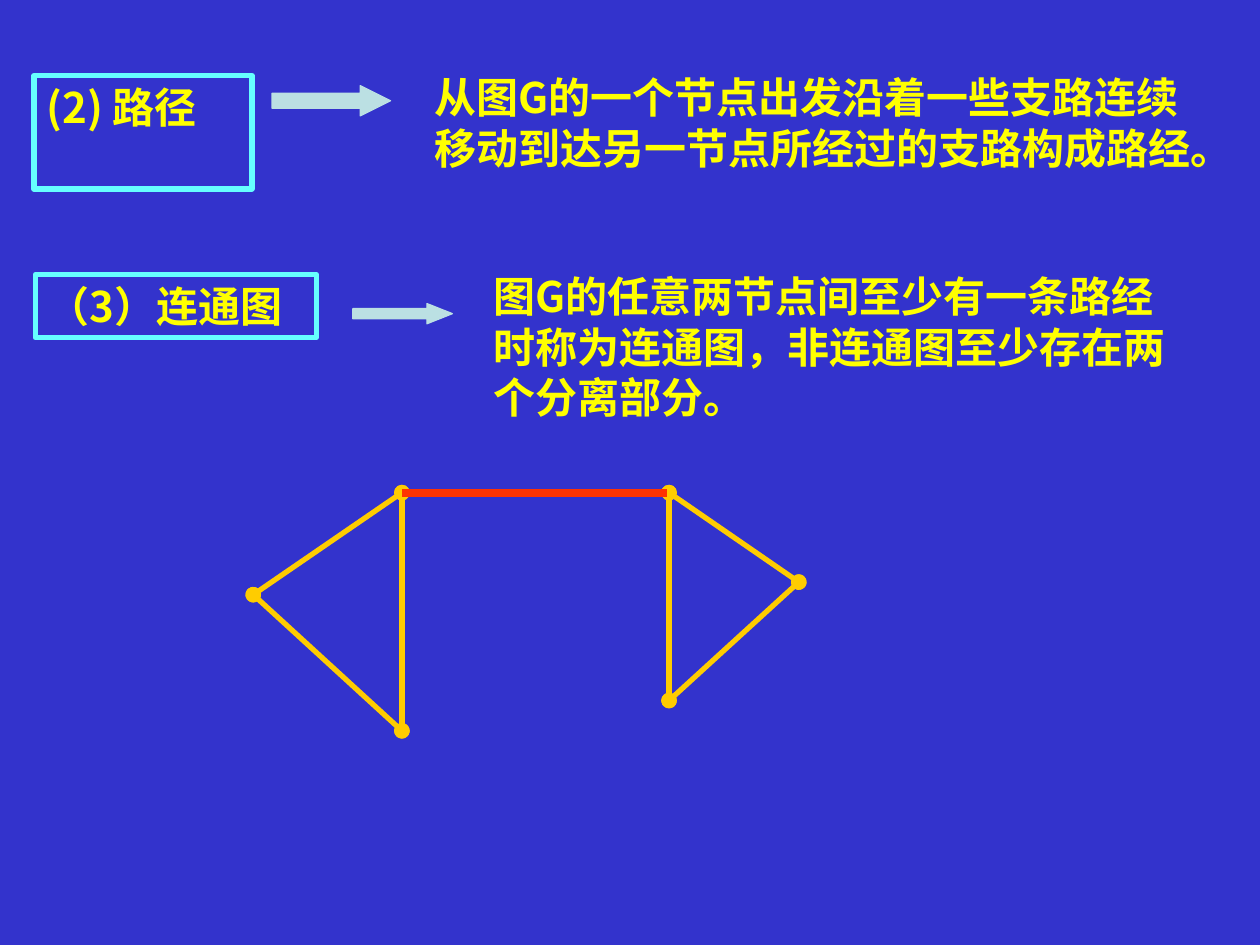
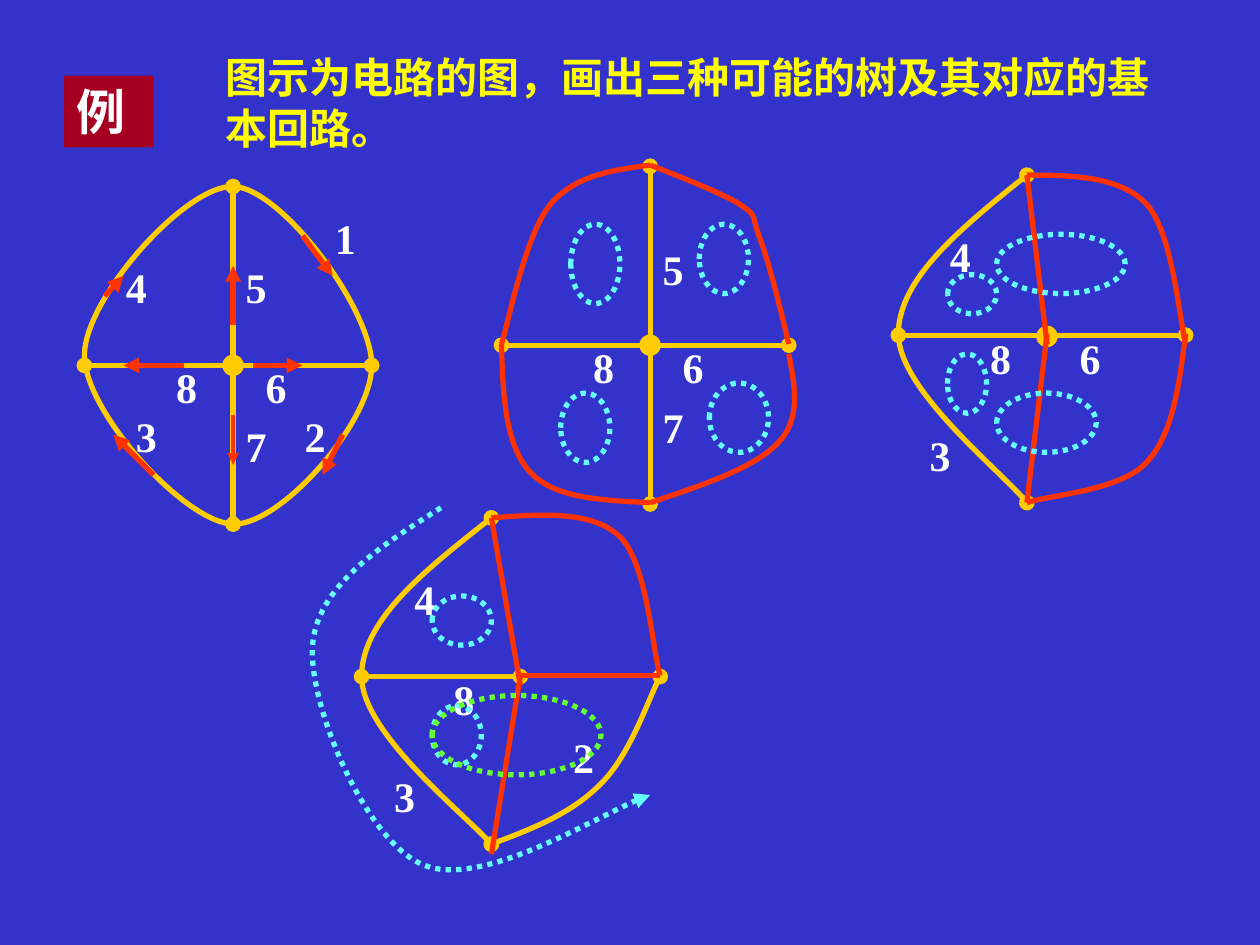
from lxml import etree
from pptx import Presentation
from pptx.dml.color import RGBColor
from pptx.enum.dml import MSO_LINE
from pptx.enum.shapes import MSO_CONNECTOR, MSO_SHAPE
from pptx.enum.text import MSO_ANCHOR, MSO_AUTO_SIZE, PP_ALIGN
from pptx.oxml.ns import qn
from pptx.util import Inches, Pt

BLUE = RGBColor(0x33, 0x33, 0xCC)
YELLOW = RGBColor(0xFF, 0xFF, 0x00)
WHITE = RGBColor(0xFF, 0xFF, 0xFF)
GOLD = RGBColor(0xFF, 0xCC, 0x00)
RED = RGBColor(0xFF, 0x33, 0x00)
CYAN = RGBColor(0x66, 0xFF, 0xFF)
GREEN = RGBColor(0x66, 0xFF, 0x33)
PALE = RGBColor(0xBB, 0xE0, 0xE3)
CRIMSON = RGBColor(0xA5, 0x00, 0x21)

CJK = "Noto Sans CJK SC"
LATIN = "Arial"
DIGITS = "Times New Roman"
TITLE_ONLY, BLANK = 5, 6
RECTANGLE, OVAL, RIGHT_ARROW = MSO_SHAPE.RECTANGLE, MSO_SHAPE.OVAL, MSO_SHAPE.RIGHT_ARROW
STRAIGHT = MSO_CONNECTOR.STRAIGHT
DOTTED = MSO_LINE.ROUND_DOT
LEFT, TOP, NO_FIT = PP_ALIGN.LEFT, MSO_ANCHOR.TOP, MSO_AUTO_SIZE.NONE
NODES = ("oval", "oval")
ARROW = (None, "triangle")


def inches(values):
    return [Inches(value) for value in values]


def write(box, text, font=CJK, size=24, color=YELLOW, wrap=True):
    frame = box.text_frame
    frame.word_wrap = wrap
    frame.auto_size = NO_FIT
    frame.vertical_anchor = TOP
    frame.margin_left = frame.margin_right = Inches(0.1)
    frame.margin_top = frame.margin_bottom = Inches(0.05)
    para = frame.paragraphs[0]
    para.alignment = LEFT
    span = para.add_run()
    span.text = text
    span.font.name, span.font.size, span.font.bold = font, Pt(size), True
    span.font.color.rgb = color
    east_asian = etree.SubElement(span.font._element, qn("a:ea"))
    east_asian.set("typeface", CJK)


class Page:
    def __init__(self, deck, layout):
        self.slide = deck.slides.add_slide(deck.slide_layouts[layout])
        self.shapes = self.slide.shapes
        fill = self.slide.background.fill
        fill.solid()
        fill.fore_color.rgb = BLUE

    def outline(self, item, color, width, dash=None, ends=(None, None)):
        item.line.color.rgb = color
        item.line.width = Pt(width)
        if dash:
            item.line.dash_style = dash
        properties = item.element.spPr
        for tag, end in zip(("a:headEnd", "a:tailEnd"), ends):
            if end:
                etree.SubElement(properties.find(qn("a:ln")), qn(tag)).set("type", end)
        etree.SubElement(properties, qn("a:effectLst"))

    def title(self, text, place, **style):
        box = self.shapes.title
        box.left, box.top, box.width, box.height = inches(place)
        write(box, text, **style)

    def text(self, text, place, **style):
        write(self.shapes.add_textbox(*inches(place)), text, **style)

    def numbers(self, places):
        for number, (left, top) in places.items():
            self.text(str(number), (left, top, 0.39, 0.5), font=DIGITS, color=WHITE)

    def shape(self, kind, place, fill=None, line=None, width=3, dash=None):
        shape = self.shapes.add_shape(kind, *inches(place))
        if fill:
            shape.fill.solid()
            shape.fill.fore_color.rgb = fill
        else:
            shape.fill.background()
        if line:
            self.outline(shape, line, width, dash)
        else:
            shape.line.fill.background()
            shape.shadow.inherit = False
        return shape

    def block_arrow(self, place, head):
        arrow = self.shape(RIGHT_ARROW, place, PALE, PALE, 0.75)
        arrow.adjustments[1] = head

    def hub(self, left, top):
        self.shape(OVAL, (left, top, 0.16, 0.16), GOLD, GOLD, 0.75)

    def loops(self, places, color=CYAN):
        for place in places:
            self.shape(OVAL, place, line=color, dash=DOTTED)

    def line(self, start, end, color=GOLD, width=3, ends=(None, None)):
        connector = self.shapes.add_connector(STRAIGHT, *inches(start + end))
        self.outline(connector, color, width, ends=ends)

    def curve(self, points, color=GOLD, dash=None, ends=(None, None), close=False):
        """Draw cubic curves: a start point, then two controls and an end for each."""
        corners = [inches(point) for point in points]
        builder = self.shapes.build_freeform(*corners[0])
        builder.add_line_segments(corners[1:], close=close)
        shape = builder.convert_to_shape()
        steps = list(shape.element.iter(qn("a:lnTo")))
        for first, second, third in zip(steps[::3], steps[1::3], steps[2::3]):
            first.tag = qn("a:cubicBezTo")
            for step in (second, third):
                first.append(step[0])
                step.getparent().remove(step)
        shape.fill.background()
        self.outline(shape, color, 3, dash, ends)


def add_definitions(deck):
    page = Page(deck, BLANK)
    page.text("从图G的一个节点出发沿着一些支路连续移动到达另一节点所经过的支路构成路经。",
              (3.35, 0.52, 6.22, 1.3))
    write(page.shape(RECTANGLE, (0.27, 0.6, 1.73, 0.9), line=CYAN), "(2) 路径")
    page.block_arrow((2.16, 0.68, 0.94, 0.24), 1)
    write(page.shape(RECTANGLE, (0.28, 2.18, 2.23, 0.5), line=CYAN),
          "（3）连通图", wrap=False)
    page.text("图G的任意两节点间至少有一条路经时称为连通图，非连通图至少存在两个分离部分。",
              (3.82, 2.1, 5.67, 1.3))
    page.block_arrow((2.8, 2.41, 0.79, 0.16), 1.26)

    left_part = [(3.19, 3.91), (2.01, 4.72), (3.19, 5.8)]
    right_part = [(5.31, 3.91), (6.34, 4.62), (5.31, 5.56)]
    for part in (left_part, right_part):
        for start, end in zip(part, part[1:] + part[:1]):
            page.line(start, end, ends=NODES)
    page.line((3.19, 3.91), (5.29, 3.91), RED, 4.5)


def draw_circuit_graph(page):
    page.line((0.67, 2.9), (2.95, 2.9), ends=NODES)
    page.line((1.85, 1.48), (1.85, 4.16), ends=NODES)
    page.curve([(1.85, 1.48), (2.23, 1.49), (2.95, 2.45), (2.95, 2.9),
                (2.95, 3.35), (2.23, 4.17), (1.85, 4.16),
                (1.47, 4.15), (0.67, 3.27), (0.67, 2.82),
                (0.67, 2.37), (1.47, 1.47), (1.85, 1.48)], close=True)
    page.hub(1.77, 2.82)
    directions = [
        ((0.83, 2.35), (0.98, 2.19)), ((1.46, 2.9), (0.98, 2.9)),
        ((2.01, 2.9), (2.4, 2.9)), ((1.85, 2.58), (1.85, 2.11)),
        ((1.22, 3.77), (0.9, 3.45)), ((2.72, 3.45), (2.56, 3.77)),
        ((2.4, 1.87), (2.64, 2.19)),
    ]
    for start, end in directions:
        page.line(start, end, RED, ends=ARROW)
    page.line((1.85, 3.29), (1.85, 3.69), RED, 2.25, ARROW)
    page.numbers({8: (1.3, 2.82), 7: (1.85, 3.29), 6: (2.01, 2.82), 5: (1.85, 2.03),
                  4: (0.9, 2.03), 3: (0.98, 3.21), 2: (2.32, 3.21), 1: (2.56, 1.64)})


def draw_star_tree(page):
    page.line((3.98, 2.74), (6.26, 2.74), ends=NODES)
    page.line((5.16, 1.32), (5.16, 4), ends=NODES)
    page.hub(5.08, 2.66)
    page.numbers({8: (4.61, 2.66), 7: (5.16, 3.14), 6: (5.32, 2.66), 5: (5.16, 1.88)})
    links = [
        [(5.16, 1.31), (4.86, 1.35), (4.57, 1.39), (4.37, 1.62),
         (4.17, 1.86), (4.04, 2.54), (3.98, 2.73)],
        [(5.16, 1.31), (5.44, 1.42), (5.72, 1.53), (5.87, 1.62), (6.01, 1.72),
         (5.96, 1.68), (6.02, 1.86), (6.09, 2.04), (6.18, 2.38), (6.26, 2.73)],
        [(3.98, 2.73), (3.99, 3.13), (4.01, 3.54), (4.21, 3.75),
         (4.41, 3.96), (4.78, 3.97), (5.16, 3.99)],
        [(6.26, 2.81), (6.31, 3.06), (6.36, 3.32), (6.18, 3.51),
         (6, 3.71), (5.58, 3.85), (5.16, 3.99)],
    ]
    for link in links:
        page.curve(link, RED)
    page.loops([(4.53, 1.78, 0.39, 0.63), (5.55, 1.78, 0.39, 0.55),
                (4.45, 3.12, 0.39, 0.55), (5.63, 3.04, 0.47, 0.55)])


def draw_left_arc_tree(page):
    page.line((7.13, 2.66), (9.41, 2.66), ends=NODES)
    page.hub(8.23, 2.59)
    page.numbers({8: (7.76, 2.59), 6: (8.47, 2.59), 4: (7.44, 1.78), 3: (7.28, 3.36)})
    page.curve([(8.15, 1.39), (7.64, 1.8), (7.13, 2.22), (7.13, 2.65),
                (7.13, 3.08), (7.97, 3.76), (8.15, 3.99)], ends=NODES)
    page.curve([(8.15, 1.39), (8.52, 1.39), (8.89, 1.4), (9.1, 1.62),
                (9.31, 1.85), (9.36, 2.54), (9.41, 2.73)], RED)
    page.curve([(9.41, 2.65), (9.36, 3.05), (9.31, 3.45), (9.1, 3.67),
                (8.89, 3.9), (8.31, 3.93), (8.15, 3.99)], RED)
    page.line((8.15, 1.39), (8.31, 2.73), RED)
    page.line((8.31, 2.65), (8.15, 3.99), RED)
    page.loops([(7.91, 1.86, 1.02, 0.47), (7.91, 3.12, 0.79, 0.47),
                (7.52, 2.18, 0.39, 0.31), (7.52, 2.81, 0.31, 0.47)])


def draw_path_tree(page):
    page.numbers({8: (3.5, 5.3), 2: (4.45, 5.76), 4: (3.19, 4.5), 3: (3.03, 6.07)})
    page.curve([(3.9, 4.11), (3.38, 4.52), (2.87, 4.93), (2.87, 5.37),
                (2.87, 5.8), (3.71, 6.48), (3.9, 6.7)], ends=NODES)
    page.line((2.87, 5.37), (4.13, 5.37), ends=NODES)
    page.curve([(3.9, 6.7), (4.22, 6.58), (4.54, 6.45), (4.76, 6.23),
                (4.99, 6.01), (5.16, 5.51), (5.24, 5.37)], ends=NODES)
    page.line((3.9, 4.11), (4.13, 5.44), RED)
    page.line((4.13, 5.36), (3.9, 6.78), RED)
    page.line((4.13, 5.36), (5.24, 5.36), RED)
    page.loops([(3.43, 4.73, 0.47, 0.39), (3.43, 5.6, 0.39, 0.47)])
    page.loops([(3.43, 5.52, 1.34, 0.63)], GREEN)
    page.curve([(3.9, 4.11), (4.3, 4.08), (4.7, 4.05), (4.92, 4.26),
                (5.14, 4.47), (5.18, 5.18), (5.24, 5.36)], RED)
    page.curve([(3.5, 4.03), (3.01, 4.34), (2.51, 4.66), (2.48, 5.13),
                (2.45, 5.6), (2.9, 6.67), (3.35, 6.86),
                (3.79, 7.06), (4.87, 6.4), (5.16, 6.31)], CYAN, DOTTED, ARROW)


def add_tree_example(deck):
    page = Page(deck, TITLE_ONLY)
    page.title("图示为电路的图，画出三种可能的树及其对应的基本回路。",
               (1.69, 0.36, 7.72, 0.9), font=LATIN)
    tag = page.shape(RECTANGLE, (0.51, 0.6, 0.71, 0.57), CRIMSON)
    write(tag, "例", font=LATIN, size=28, color=WHITE)
    draw_circuit_graph(page)
    draw_star_tree(page)
    draw_left_arc_tree(page)
    draw_path_tree(page)


def main():
    deck = Presentation()
    deck.slide_width, deck.slide_height = inches((10, 7.5))
    add_definitions(deck)
    add_tree_example(deck)
    deck.save("out.pptx")


if __name__ == "__main__":
    main()
